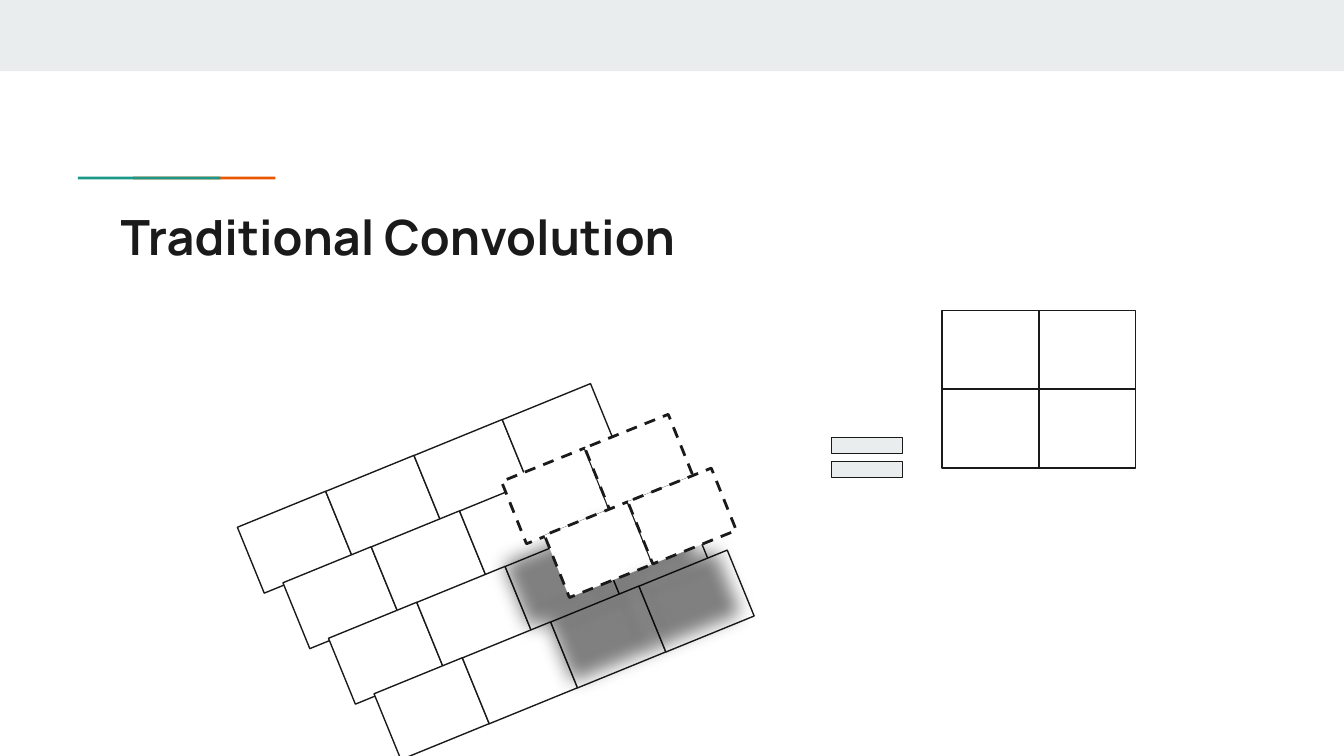
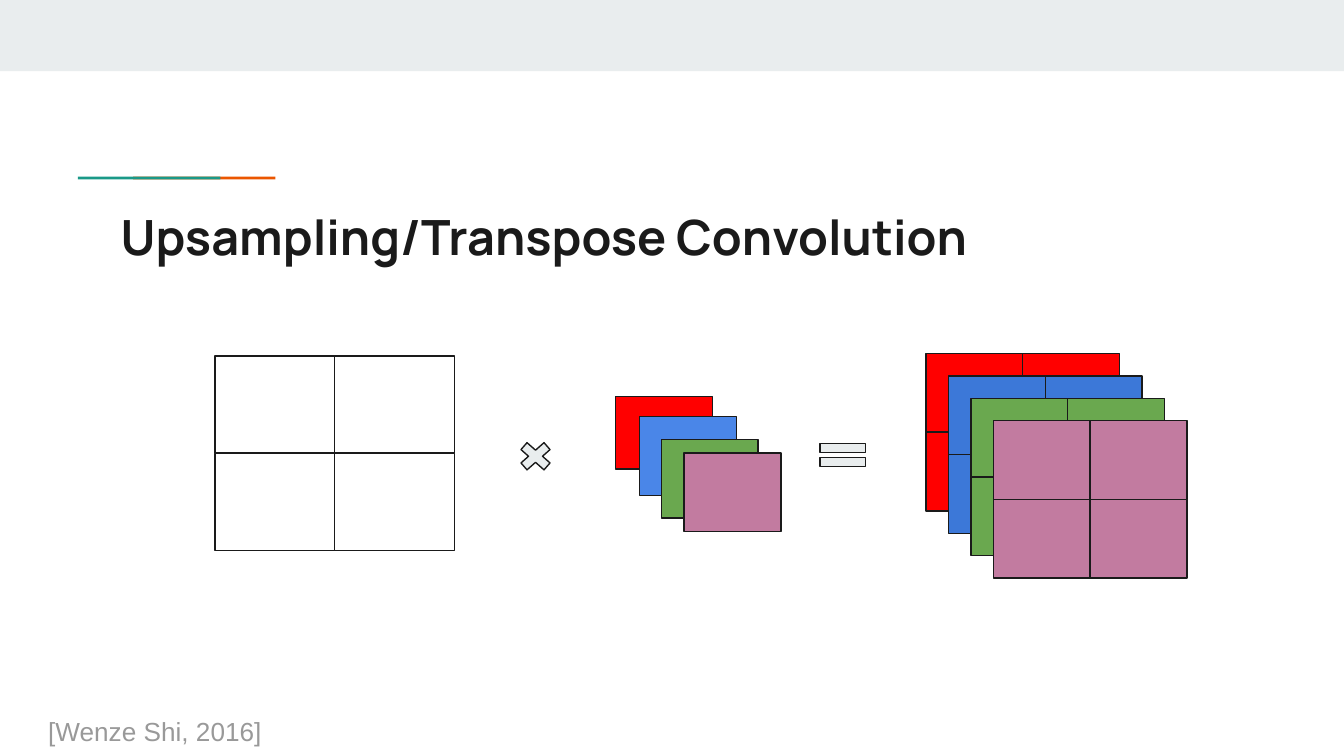
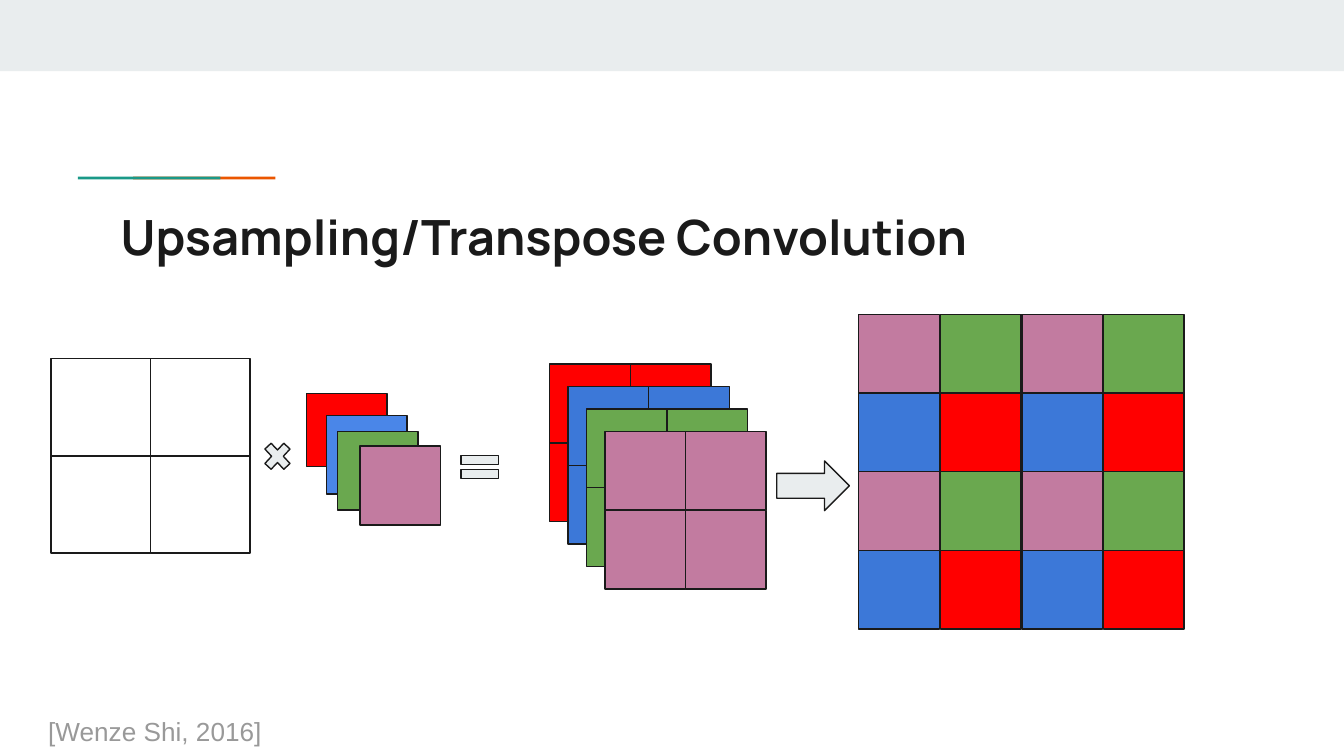
from dataclasses import dataclass
from itertools import product

from lxml import etree
from pptx import Presentation
from pptx import util as u
from pptx.dml.color import RGBColor
from pptx.enum import dml, shapes, text
from pptx.oxml import ns

COLORS = {
    "paper": "FFFFFF",
    "ink": "1A1A1A",
    "band": "E9EDEE",
    "teal": "1A9988",
    "orange": "EB5600",
    "citation": "999999",
    "shadow": "000000",
    "red": "FF0000",
    "light blue": "4A86E8",
    "blue": "3C78D8",
    "green": "6AA84F",
    "mauve": "C27BA0",
}

# The slide is divided into 100 columns and 56.25 rows.
SLIDE_WIDTH = u.Inches(10)
SLIDE_HEIGHT = u.Inches(5.625)
COLUMN = SLIDE_WIDTH / 100
ROW = SLIDE_HEIGHT / 56.25

KERNEL_COLORS = ("red", "light blue", "green", "mauve")
FEATURE_COLORS = ("red", "blue", "green", "mauve")
CITATION = "[Wenze Shi, 2016]"


@dataclass(frozen=True)
class Box:
    left: float
    top: float
    width: float
    height: float

    def emu(self) -> tuple[int, int, int, int]:
        return (
            round(self.left * COLUMN),
            round(self.top * ROW),
            round(self.width * COLUMN),
            round(self.height * ROW),
        )


@dataclass(frozen=True)
class CellStyle:
    fill: str = "paper"
    rotation: float = 0
    line_width: float = 0.75
    dashed: bool = False
    shadow: bool = False


@dataclass(frozen=True)
class Lattice:
    """A grid whose column and row steps may be slanted vectors."""

    first: Box
    column_step: tuple[float, float]
    row_step: tuple[float, float]
    size: int = 2

    def cell(self, row: int, column: int) -> Box:
        return Box(
            self.first.left + column * self.column_step[0] + row * self.row_step[0],
            self.first.top + column * self.column_step[1] + row * self.row_step[1],
            self.first.width,
            self.first.height,
        )


@dataclass(frozen=True)
class Upsampling:
    """The left-to-right parts of an upsampling equation."""

    image: Box
    times: Box
    kernels: tuple[Box, ...]
    equals: Box
    features: Box
    feature_step: tuple[float, float]


def color(name: str) -> RGBColor:
    return RGBColor.from_string(COLORS[name])


def upright(first: Box, size: int = 2) -> Lattice:
    return Lattice(first, (first.width, 0), (0, first.height), size)


def add_soft_shadow(shape) -> None:
    effects = shape._element.spPr.find(ns.qn("a:effectLst"))
    shadow = etree.SubElement(
        effects,
        ns.qn("a:outerShdw"),
        blurRad=str(u.Pt(10.1)),
        dist=str(u.Pt(44.2)),
        dir=str(88 * 60000),
        algn="bl",
        rotWithShape="0",
    )
    tint = etree.SubElement(shadow, ns.qn("a:srgbClr"), val=COLORS["shadow"])
    etree.SubElement(tint, ns.qn("a:alpha"), val="50000")


def add_block(slide, box: Box, fill: str, kind=shapes.MSO_SHAPE.RECTANGLE):
    """Add a filled shape without an outline."""
    shape = slide.shapes.add_shape(kind, *box.emu())
    shape.shadow.inherit = False
    shape.fill.solid()
    shape.fill.fore_color.rgb = color(fill)
    shape.line.fill.background()
    return shape


def add_cell(slide, box: Box, style: CellStyle, kind=shapes.MSO_SHAPE.RECTANGLE) -> None:
    """Add a filled shape with an ink outline."""
    shape = add_block(slide, box, style.fill, kind)
    shape.rotation = style.rotation
    shape.line.color.rgb = color("ink")
    shape.line.width = u.Pt(style.line_width)
    if style.dashed:
        shape.line.dash_style = dml.MSO_LINE.DASH
    if style.shadow:
        add_soft_shadow(shape)


def add_operator(slide, box: Box, kind: shapes.MSO_SHAPE) -> None:
    add_cell(slide, box, CellStyle("band"), kind)


def add_lattice(slide, lattice: Lattice, style: CellStyle) -> None:
    for row, column in product(range(lattice.size), repeat=2):
        add_cell(slide, lattice.cell(row, column), style)


def add_text(slide, box: Box, words: str, font: str, size: float, ink: str, bold: bool) -> None:
    frame = slide.shapes.add_textbox(*box.emu()).text_frame
    frame.word_wrap = True
    frame.vertical_anchor = text.MSO_ANCHOR.TOP
    frame.margin_left = frame.margin_right = u.Inches(0.1)
    frame.margin_top = frame.margin_bottom = u.Inches(0.1)
    run = frame.paragraphs[0].add_run()
    run.text = words
    run.font.name = font
    run.font.size = u.Pt(size)
    run.font.bold = bold
    run.font.color.rgb = color(ink)


def add_titled_slide(presentation, title: str):
    """Add a slide with the shared band, accent line and title."""
    slide = presentation.slides.add_slide(presentation.slide_layouts[6])
    slide.background.fill.solid()
    slide.background.fill.fore_color.rgb = color("paper")
    add_block(slide, Box(0, 0, 100, 5.3), "band")
    for left, accent in ((9.9, "orange"), (5.8, "teal")):
        add_block(slide, Box(left, 13.15, 10.6, 0.2), accent)
    add_text(slide, Box(8, 14.4, 84.1, 5.9), title, "Manrope", 26, "ink", True)
    return slide


def add_convolution_slide(presentation) -> None:
    slide = add_titled_slide(presentation, "Traditional Convolution")
    image = Lattice(Box(18.4, 37.7, 7.1, 5.3), (6.57, -2.67), (3.39, 4.13), 4)
    kernel = Lattice(Box(38, 34.4, 6.7, 5), (6.2, -2.5), (3.2, 4))
    add_lattice(slide, image, CellStyle(rotation=337.8))
    add_lattice(
        slide, kernel, CellStyle(rotation=338.1, line_width=1.5, dashed=True, shadow=True)
    )
    add_operator(slide, Box(60.9, 31.5, 7.2, 5.1), shapes.MSO_SHAPE.MATH_EQUAL)
    add_lattice(slide, upright(Box(70.1, 23.1, 7.2, 5.86)), CellStyle())


def add_upsampling_slide(presentation, parts: Upsampling):
    slide = add_titled_slide(presentation, "Upsampling/Transpose Convolution")
    add_lattice(slide, upright(parts.image), CellStyle())
    add_operator(slide, parts.times, shapes.MSO_SHAPE.MATH_MULTIPLY)
    for box, fill in zip(parts.kernels, KERNEL_COLORS):
        add_cell(slide, box, CellStyle(fill))
    add_operator(slide, parts.equals, shapes.MSO_SHAPE.MATH_EQUAL)
    first = parts.features
    for layer, fill in enumerate(FEATURE_COLORS):
        box = Box(
            first.left + layer * parts.feature_step[0],
            first.top + layer * parts.feature_step[1],
            first.width,
            first.height,
        )
        add_lattice(slide, upright(box), CellStyle(fill))
    add_text(slide, Box(2.6, 52.2, 23.4, 3), CITATION, "Arial", 14, "citation", False)
    return slide


def add_shuffled_pixels(slide) -> None:
    """Add the arrow and the image woven from the four feature layers."""
    add_operator(slide, Box(57.8, 34.3, 5.4, 3.7), shapes.MSO_SHAPE.RIGHT_ARROW)
    pixels = Lattice(Box(63.9, 23.4, 6, 5.86), (6.07, 0), (0, 5.85), 4)
    pattern = (("mauve", "green"), ("blue", "red"))
    for row, column in product(range(pixels.size), repeat=2):
        fill = pattern[row % 2][column % 2]
        add_cell(slide, pixels.cell(row, column), CellStyle(fill))


def main() -> None:
    presentation = Presentation()
    presentation.slide_width = SLIDE_WIDTH
    presentation.slide_height = SLIDE_HEIGHT

    add_convolution_slide(presentation)
    wide = Upsampling(
        image=Box(16, 26.5, 8.9, 7.23),
        times=Box(38.2, 32.5, 3.3, 2.9),
        kernels=(
            Box(45.8, 29.5, 7.2, 5.4),
            Box(47.6, 31, 7.2, 5.86),
            Box(49.2, 32.7, 7.2, 5.86),
            Box(50.9, 33.7, 7.2, 5.86),
        ),
        equals=Box(60.4, 32.4, 4.6, 2.9),
        features=Box(68.9, 26.3, 7.2, 5.86),
        feature_step=(1.67, 1.67),
    )
    compact = Upsampling(
        image=Box(3.8, 26.7, 7.4, 7.23),
        times=Box(19.3, 32.5, 2.7, 2.9),
        kernels=(
            Box(22.8, 29.3, 6, 5.4),
            Box(24.3, 30.9, 6, 5.86),
            Box(25.1, 32.1, 6, 5.86),
            Box(26.8, 33.2, 6, 5.86),
        ),
        equals=Box(33.8, 33.3, 3.8, 2.9),
        features=Box(40.9, 27.1, 6, 5.86),
        feature_step=(1.37, 1.67),
    )
    add_upsampling_slide(presentation, wide)
    add_shuffled_pixels(add_upsampling_slide(presentation, compact))

    presentation.save("out.pptx")


if __name__ == "__main__":
    main()
